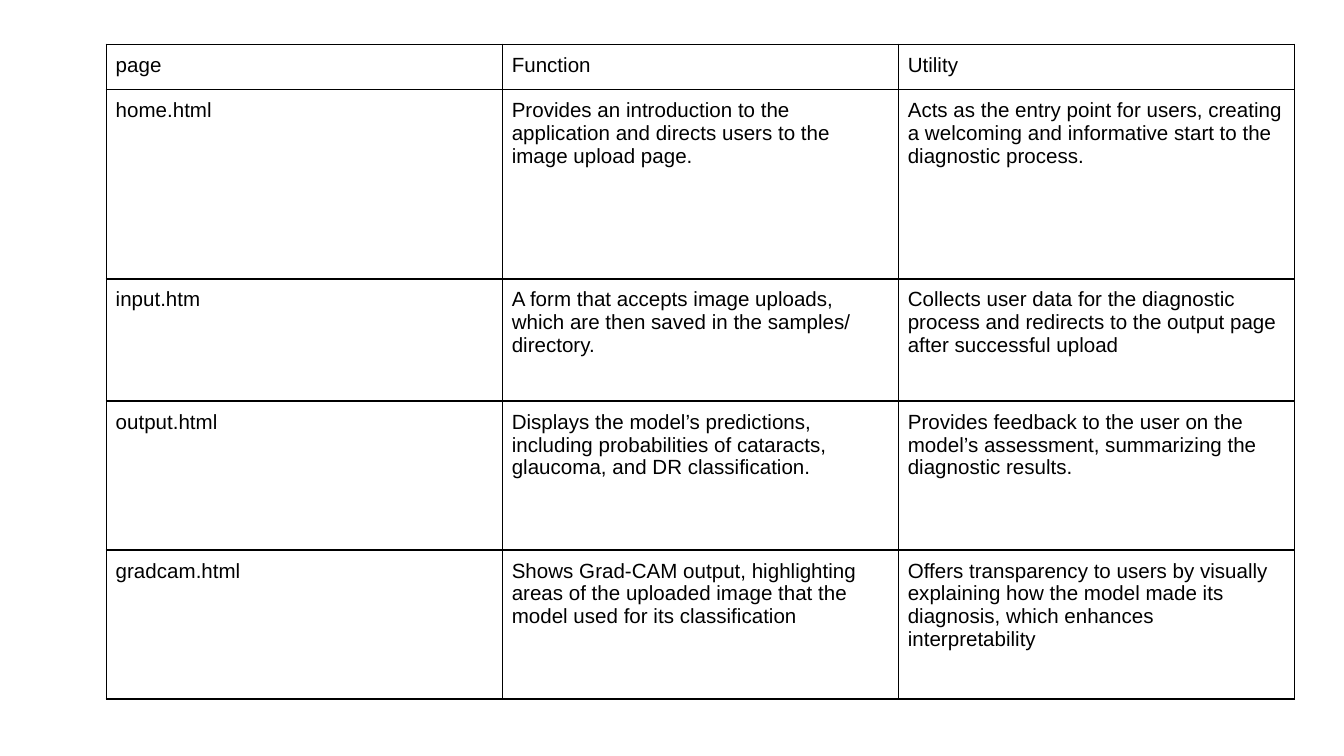
from lxml import etree
from pptx import Presentation
from pptx.dml.color import RGBColor
from pptx.oxml import ns
from pptx.util import Pt

BLACK = RGBColor(0, 0, 0)
ROWS = [
    ("page", "Function", "Utility"),
    ("home.html",
     "Provides an introduction to the application and directs users to the image upload page.",
     "Acts as the entry point for users, creating a welcoming and informative start to the diagnostic process."),
    ("input.htm",
     "A form that accepts image uploads, which are then saved in the samples/ directory.",
     "Collects user data for the diagnostic process and redirects to the output page after successful upload"),
    ("output.html",
     "Displays the model’s predictions, including probabilities of cataracts, glaucoma, and DR classification.",
     "Provides feedback to the user on the model’s assessment, summarizing the diagnostic results."),
    ("gradcam.html",
     "Shows Grad-CAM output, highlighting areas of the uploaded image that the model used for its classification",
     "Offers transparency to users by visually explaining how the model made its diagnosis, which enhances interpretability"),
]
HEIGHTS = [24.1, 101.5, 65.6, 79.8, 79.8]
WIDTH = 212.2


def border(cell):
    props = cell._tc.get_or_add_tcPr()
    for i, side in enumerate(("lnL", "lnR", "lnT", "lnB")):
        line = etree.Element(ns.qn(f"a:{side}"), w=str(Pt(1)))
        fill = etree.SubElement(line, ns.qn("a:solidFill"))
        etree.SubElement(fill, ns.qn("a:srgbClr"), val=str(BLACK))
        props.insert(i, line)


prs = Presentation()
prs.slide_width, prs.slide_height = Pt(720), Pt(405)
slide = prs.slides.add_slide(prs.slide_layouts[6])
frame = slide.shapes.add_table(len(ROWS), 3, Pt(57), Pt(23.8),
                               Pt(3 * WIDTH), Pt(sum(HEIGHTS)))
table = frame.table
table.first_row = table.horz_banding = False
for col in table.columns:
    col.width = Pt(WIDTH)

for r, (row, height) in enumerate(zip(ROWS, HEIGHTS)):
    table.rows[r].height = Pt(height)
    for c, words in enumerate(row):
        cell = table.cell(r, c)
        cell.margin_left = cell.margin_right = Pt(5)
        cell.margin_top = cell.margin_bottom = Pt(5)
        cell.fill.background()
        border(cell)
        cell.text = words
        font = cell.text_frame.paragraphs[0].font
        font.name, font.size = "Arial", Pt(11)
        font.color.rgb = BLACK

prs.save("out.pptx")
